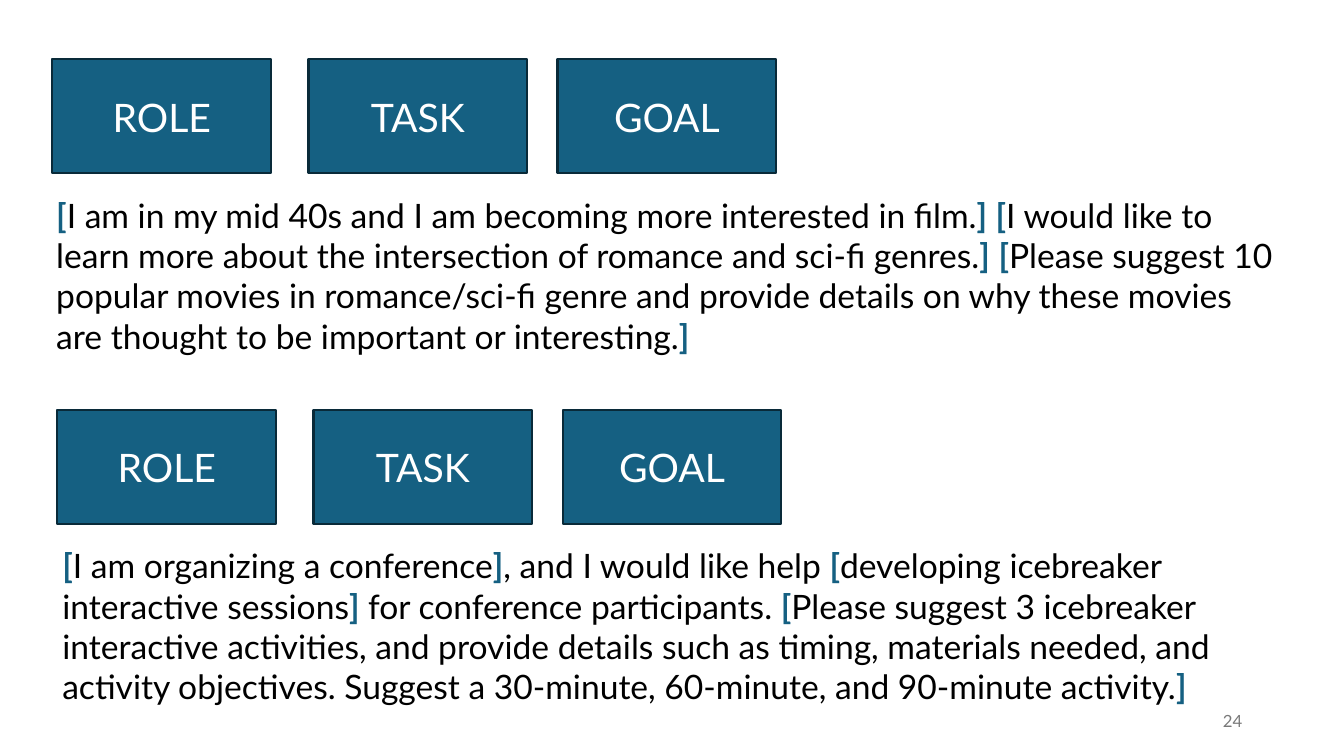
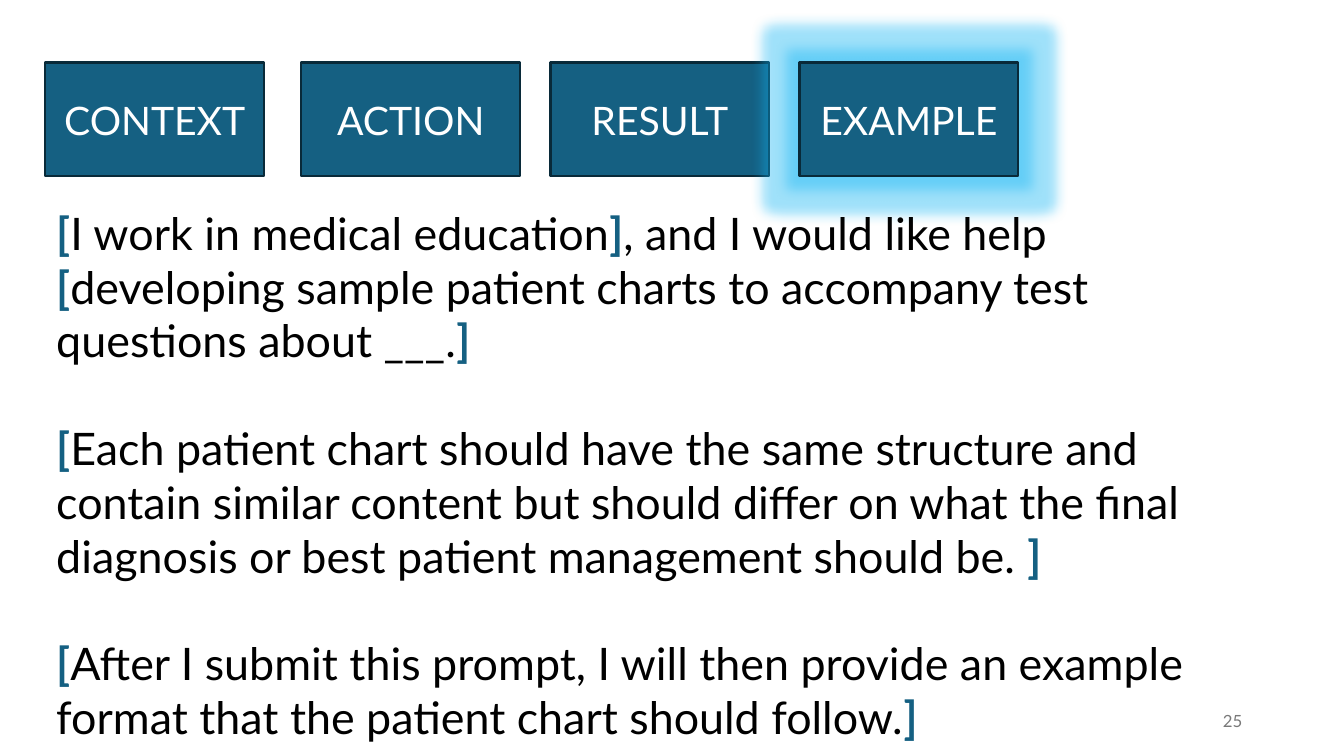
from dataclasses import dataclass
from itertools import accumulate, groupby

from lxml.etree import SubElement
from pptx import Presentation
from pptx.dml.color import RGBColor
from pptx.enum.shapes import MSO_SHAPE
from pptx.enum.text import MSO_ANCHOR, PP_ALIGN
from pptx.oxml.ns import qn
from pptx.slide import Slide
from pptx.text.text import TextFrame
from pptx.util import Inches, Pt


@dataclass(frozen=True)
class Theme:
    font: str = "Lato"
    accent: str = "156082"
    edge: str = "092A39"
    glow: str = "10B4F4"
    ink: str = "000000"
    light: str = "FFFFFF"
    muted: str = "797979"
    label_size: int = 28
    number_size: int = 12


@dataclass(frozen=True)
class Prompt:
    labels: tuple[str, ...]
    row: tuple[float, float]
    text_at: tuple[float, float]
    text_height: float
    size: int
    paragraphs: tuple[str, ...]
    glowing: str = ""


@dataclass(frozen=True)
class Page:
    number: int
    prompts: tuple[Prompt, ...]


THEME = Theme()
WIDTH, HEIGHT = 13.33, 7.5
BOX_W, BOX_H = 2.17, 1.13
GAPS = (0.37, 0.3, 0.3)
BOX_LEFTS = tuple(accumulate((BOX_W + gap for gap in GAPS), initial=0))
TEXT_W = 12.3
LINE_HEIGHT = 1.2
PARTS = ("ROLE", "TASK", "GOAL")

PAGES = (
    Page(24, (
        Prompt(PARTS, (0.52, 0.59), (0.46, 1.88), 1.72, 24, (
            "[I am in my mid 40s and I am becoming more interested in film.] "
            "[I would like to learn more about the intersection of romance and "
            "sci-fi genres.] [Please suggest 10 popular movies in romance/sci-fi "
            "genre and provide details on why these movies are thought to be "
            "important or interesting.]",)),
        Prompt(PARTS, (0.57, 4.07), (0.52, 5.36), 1.72, 24, (
            "[I am organizing a conference], and I would like help [developing "
            "icebreaker interactive sessions] for conference participants. "
            "[Please suggest 3 icebreaker interactive activities, and provide "
            "details such as timing, materials needed, and activity objectives. "
            "Suggest a 30-minute, 60-minute, and 90-minute activity.]",)),
    )),
    Page(25, (
        Prompt(("CONTEXT", "ACTION", "RESULT", "EXAMPLE"),
               (0.45, 0.62), (0.46, 1.99), 4.95, 32, (
            "[I work in medical education], and I would like help [developing "
            "sample patient charts to accompany test questions about ___.]",
            "[Each patient chart should have the same structure and contain "
            "similar content but should differ on what the final diagnosis or "
            "best patient management should be. ]",
            "[After I submit this prompt, I will then provide an example format "
            "that the patient chart should follow.]"), glowing="EXAMPLE"),
    )),
)


def write(tf: TextFrame, *paragraphs: str, size: int, color: str = THEME.ink,
          align: PP_ALIGN = PP_ALIGN.LEFT,
          anchor: MSO_ANCHOR = MSO_ANCHOR.TOP) -> None:
    """Fill a frame, one blank line apart, with square brackets in bold accent."""
    tf.word_wrap = True
    tf.vertical_anchor = anchor
    for i, text in enumerate(paragraphs):
        p = tf.add_paragraph() if i else tf.paragraphs[0]
        p.alignment = align
        if i:
            p.space_before = Pt(size * LINE_HEIGHT)
        for is_bracket, chars in groupby(text, lambda ch: ch in "[]"):
            r = p.add_run()
            r.text = "".join(chars)
            r.font.name = THEME.font
            r.font.size = Pt(size)
            r.font.bold = is_bracket
            r.font.color.rgb = RGBColor.from_string(
                THEME.accent if is_bracket else color)


def add_text(slide: Slide, left: float, top: float, width: float,
             height: float, *paragraphs: str, **fmt) -> None:
    sp = slide.shapes.add_textbox(*map(Inches, (left, top, width, height)))
    write(sp.text_frame, *paragraphs, **fmt)


def add_label_box(slide: Slide, left: float, top: float, label: str,
                  glow: bool) -> None:
    sp = slide.shapes.add_shape(
        MSO_SHAPE.RECTANGLE, *map(Inches, (left, top, BOX_W, BOX_H)))
    sp.shadow.inherit = False
    sp.fill.solid()
    sp.fill.fore_color.rgb = RGBColor.from_string(THEME.accent)
    sp.line.color.rgb = RGBColor.from_string(THEME.edge)
    sp.line.width = Pt(1.5)
    write(sp.text_frame, label, size=THEME.label_size, color=THEME.light,
          align=PP_ALIGN.CENTER, anchor=MSO_ANCHOR.MIDDLE)
    if glow:
        effects = sp.element.spPr.find(qn("a:effectLst"))
        halo = SubElement(effects, qn("a:glow"), rad=str(Pt(18)))
        color = SubElement(halo, qn("a:srgbClr"), val=THEME.glow)
        SubElement(color, qn("a:alpha"), val="40000")


def add_prompt(slide: Slide, prompt: Prompt) -> None:
    left, top = prompt.row
    for offset, label in zip(BOX_LEFTS, prompt.labels):
        add_label_box(slide, left + offset, top, label, label == prompt.glowing)
    add_text(slide, *prompt.text_at, TEXT_W, prompt.text_height,
             *prompt.paragraphs, size=prompt.size)


def main() -> None:
    prs = Presentation()
    prs.slide_width, prs.slide_height = Inches(WIDTH), Inches(HEIGHT)
    blank = prs.slide_layouts[6]
    for page in PAGES:
        slide = prs.slides.add_slide(blank)
        add_text(slide, 9.42, 6.95, 3, 0.4, str(page.number),
                 size=THEME.number_size, color=THEME.muted,
                 align=PP_ALIGN.RIGHT, anchor=MSO_ANCHOR.MIDDLE)
        for prompt in page.prompts:
            add_prompt(slide, prompt)
    prs.save("out.pptx")


if __name__ == "__main__":
    main()
